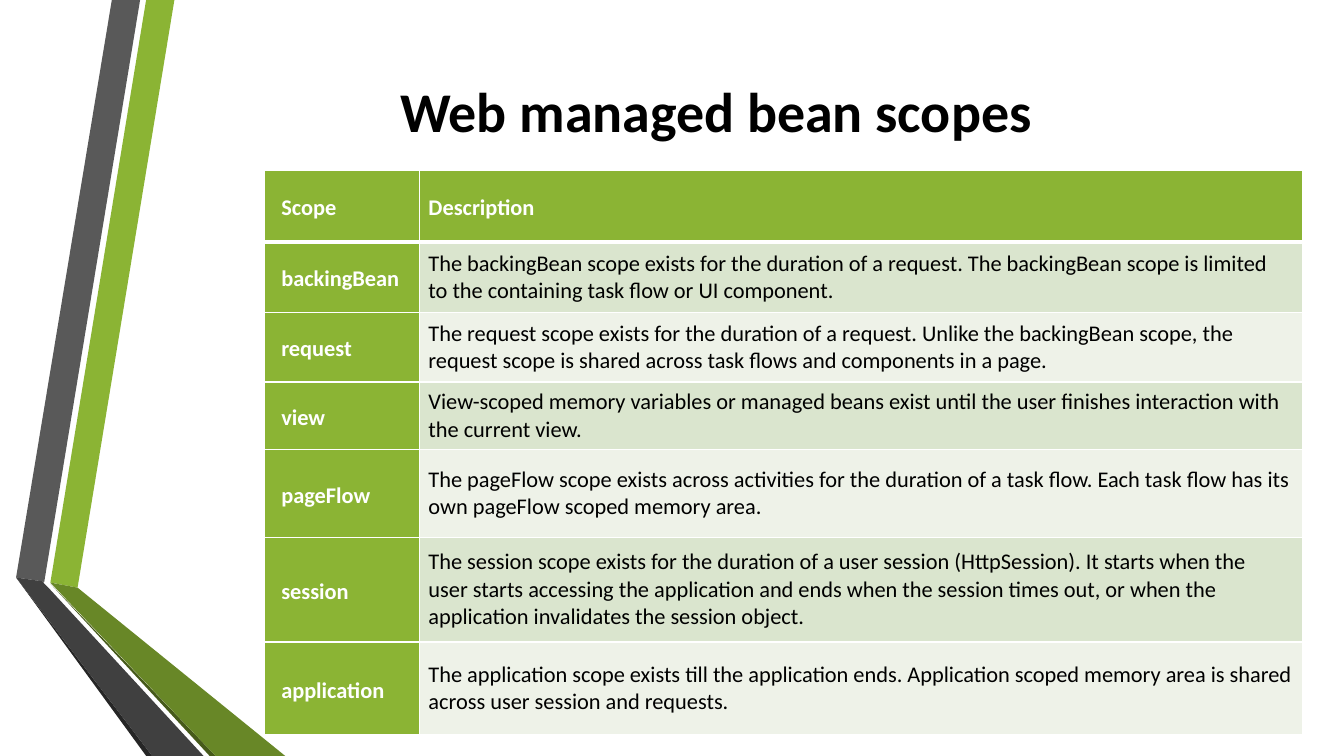
from lxml import etree
from pptx import Presentation
from pptx import util as u
from pptx.dml.color import RGBColor
from pptx.enum import text
from pptx.oxml.ns import qn

COLORS = {
    "green": "8BB434", "dark_green": "688727", "deep_green": "465A1A",
    "gray": "595959", "dark_gray": "404040", "deep_gray": "262626",
    "odd_row": "DAE5CE", "even_row": "EEF2E8", "white": "FFFFFF", "black": "000000",
}
FONT = "Calibri"
SLIDE_COLUMNS, SLIDE_ROWS = 133.3, 75  # grid cells of a tenth of an inch

# Corners in grid columns and rows, from back to front
RIBBONS = [
    ("green", [(5, 57.8), (7.7, 58.3), (17.3, 0), (14.5, 0)]),
    ("gray", [(13.9, 0), (11.1, 0), (1.6, 57.3), (4.4, 57.7)]),
    ("deep_gray", [(1.6, 57.3), (14.5, 75), (15.1, 75)]),
    ("deep_green", [(5, 57.9), (20.8, 75), (21.4, 75)]),
    ("dark_green", [(5, 57.8), (21.4, 75), (28.3, 75), (7.7, 58.3)]),
    ("dark_gray", [(20.2, 75), (4.8, 58.3), (4.3, 57.8), (4.4, 57.7), (1.6, 57.3), (15.1, 75)]),
]

TABLE_LEFT, TABLE_TOP = 26.2, 16.9
COLUMN_WIDTHS = [15.4, 87.6]
ROW_HEIGHTS = [7.1, 7, 6.9, 6.7, 8.7, 10.4, 9.2]
SCOPES = [
    ("Scope", "Description"),
    ("backingBean", "The backingBean scope exists for the duration of a request. "
     "The backingBean scope is limited to the containing task flow or UI component."),
    ("request", "The request scope exists for the duration of a request. Unlike the "
     "backingBean scope, the request scope is shared across task flows and components in a page."),
    ("view", "View-scoped memory variables or managed beans exist until the user "
     "finishes interaction with the current view."),
    ("pageFlow", "The pageFlow scope exists across activities for the duration of a task "
     "flow. Each task flow has its own pageFlow scoped memory area."),
    ("session", "The session scope exists for the duration of a user session (HttpSession). "
     "It starts when the user starts accessing the application and ends when the session "
     "times out, or when the application invalidates the session object."),
    ("application", "The application scope exists till the application ends. Application "
     "scoped memory area is shared across user session and requests."),
]
LOOSE_ROWS = (1, 3)  # descriptions with the larger space after
NARROW_ROWS = (1, 5)  # descriptions with a right indent

CELL_FORMAT = {
    "vertical_anchor": text.MSO_ANCHOR.MIDDLE,
    "margin_left": u.Inches(0.09), "margin_right": u.Inches(0.09),
    "margin_top": 0, "margin_bottom": 0,
}
HEADING_PARAGRAPH = {"line_spacing": 1.15}


def grid(cells):
    return u.Inches(cells / 10)


def rgb(name):
    return RGBColor.from_string(COLORS[name])


def apply_format(target, values):
    for name, value in values.items():
        setattr(target, name, value)


def format_font(font, size, color, bold):
    apply_format(font, {"name": FONT, "size": u.Pt(size), "bold": bold})
    font.color.rgb = rgb(color)


def indent(paragraph, side, inches):
    paragraph._p.get_or_add_pPr().set(side, str(u.Inches(inches)))


def add_ribbon(slide, color, corners):
    points = [(grid(column), grid(row)) for column, row in corners]
    builder = slide.shapes.build_freeform(*points[0])
    builder.add_line_segments(points[1:], close=True)
    shape = builder.convert_to_shape()
    shape.shadow.inherit = False
    shape.fill.solid()
    shape.fill.fore_color.rgb = rgb(color)
    shape.line.fill.background()


def add_title(slide, wording):
    title = slide.shapes.title
    apply_format(title, {"left": grid(16.2), "top": grid(5),
                         "width": grid(109.6), "height": grid(11.9)})
    title.text_frame.vertical_anchor = text.MSO_ANCHOR.MIDDLE
    paragraph = title.text_frame.paragraphs[0]
    paragraph.text = wording
    paragraph.alignment = text.PP_ALIGN.CENTER
    format_font(paragraph.runs[0].font, 40, "black", True)


def add_borders(cell, row):
    """Draw white cell borders, thicker beneath the header row."""
    widths = {"L": 1, "R": 1, "T": 3 if row == 1 else 1, "B": 3 if row == 0 else 1}
    properties = cell._tc.get_or_add_tcPr()
    for side, width in widths.items():
        line = etree.SubElement(properties, qn(f"a:ln{side}"), w=str(u.Pt(width)))
        fill = etree.SubElement(line, qn("a:solidFill"))
        etree.SubElement(fill, qn("a:srgbClr"), val=COLORS["white"])


def fill_cell(cell, row, column, wording):
    heading = row == 0 or column == 0
    add_borders(cell, row)
    cell.fill.solid()
    cell.fill.fore_color.rgb = rgb("green" if heading else "odd_row" if row % 2 else "even_row")
    apply_format(cell, CELL_FORMAT)
    paragraph = cell.text_frame.paragraphs[0]
    paragraph.text = wording
    space_after = u.Pt(5.5 if row in LOOSE_ROWS else 1.2)
    apply_format(paragraph, HEADING_PARAGRAPH if heading
                 else {"line_spacing": 1.01, "space_after": space_after})
    if column == 0:
        indent(paragraph, "marL", 0.08)
    elif row in NARROW_ROWS:
        indent(paragraph, "marR", 0.1)
    format_font(paragraph.runs[0].font, 16, "white" if heading else "black", heading)


def add_scope_table(slide):
    frame = slide.shapes.add_table(
        len(SCOPES), len(COLUMN_WIDTHS), grid(TABLE_LEFT), grid(TABLE_TOP),
        grid(sum(COLUMN_WIDTHS)), grid(sum(ROW_HEIGHTS)))
    table = frame.table
    for column, width in zip(table.columns, COLUMN_WIDTHS):
        column.width = grid(width)
    for row, (height, wordings) in enumerate(zip(ROW_HEIGHTS, SCOPES)):
        table.rows[row].height = grid(height)
        for column, wording in enumerate(wordings):
            fill_cell(table.cell(row, column), row, column, wording)


def main():
    presentation = Presentation()
    presentation.slide_width = grid(SLIDE_COLUMNS)
    presentation.slide_height = grid(SLIDE_ROWS)
    slide = presentation.slides.add_slide(presentation.slide_layouts[5])
    for color, corners in RIBBONS:
        add_ribbon(slide, color, corners)
    add_scope_table(slide)
    add_title(slide, "Web managed bean scopes")
    presentation.save("out.pptx")


if __name__ == "__main__":
    main()
